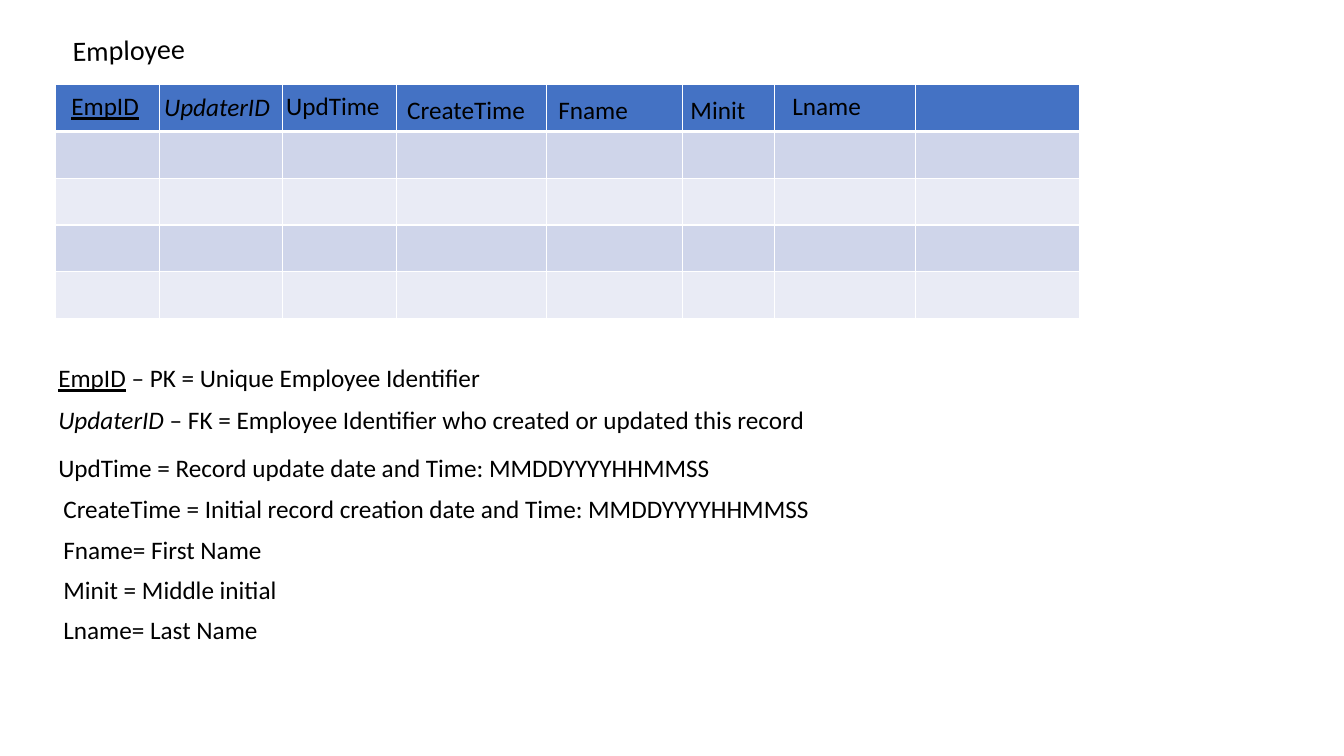
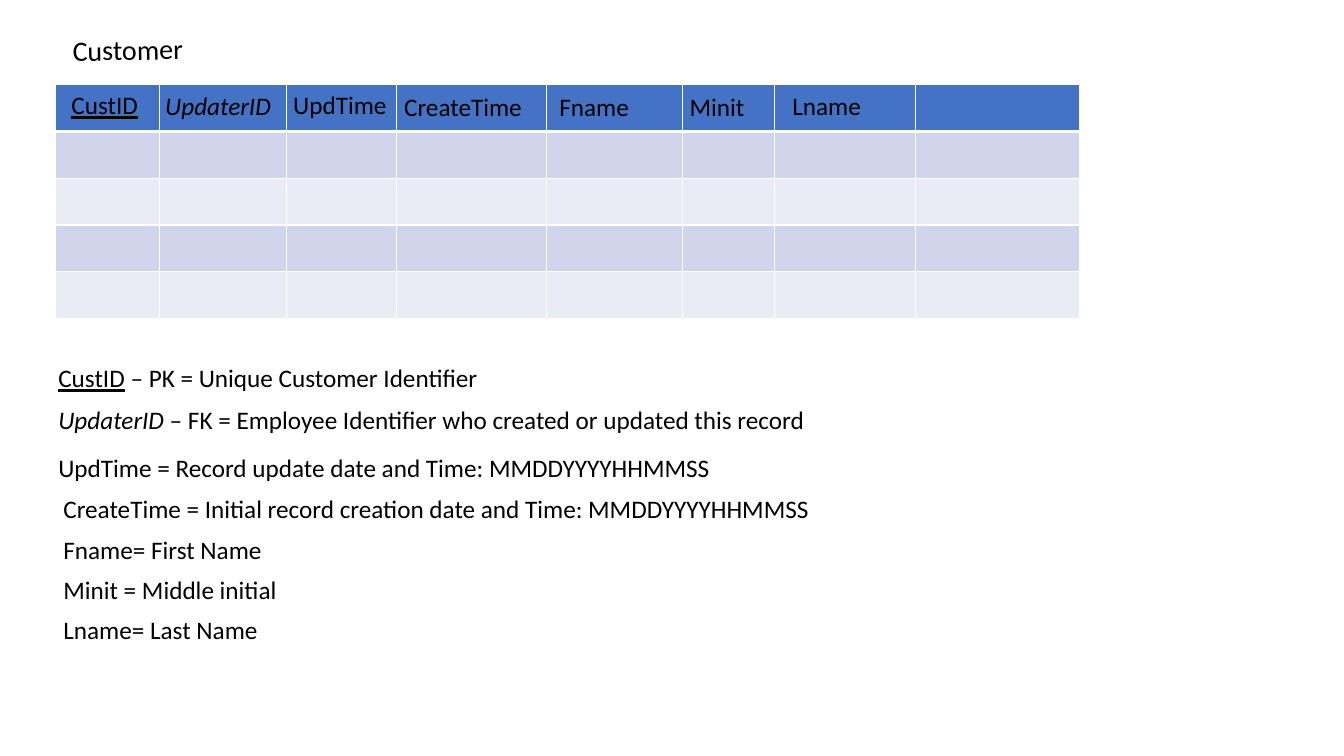
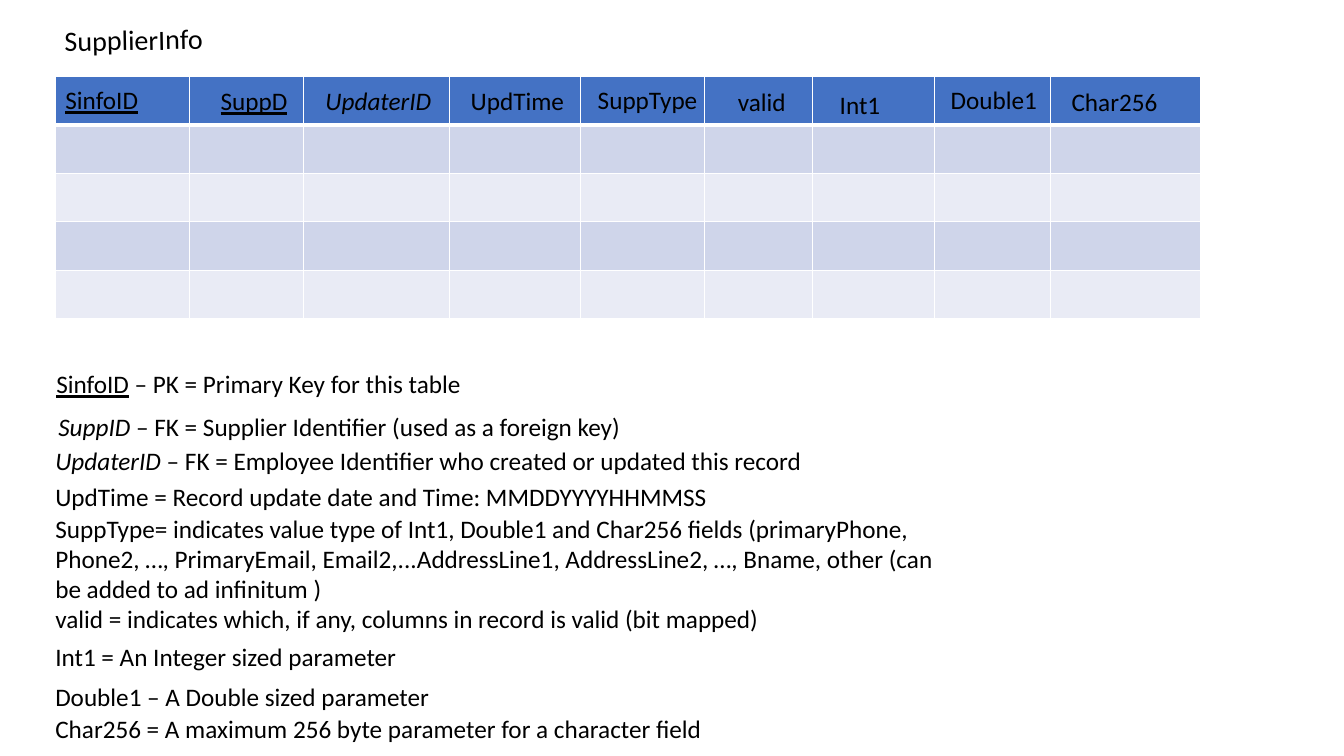
from collections import namedtuple
from itertools import accumulate

from lxml import etree
from pptx import Presentation, util as u
from pptx.dml.color import RGBColor
from pptx.enum import text
from pptx.oxml import ns

Box = namedtuple("Box", "left top width height")
Field = namedtuple("Field", "name column inset drop")
Definition = namedtuple("Definition", "name meaning indent drop width height", defaults=(0.4,))

COLORS = {"ink": "000000", "header": "4472C4", "odd": "CFD5EA", "even": "E9EBF5", "rule": "FFFFFF"}
FONT = "Calibri"
TITLE_SIZE, BODY_SIZE = 20, 18
TITLE_TILT = 359
ROWS = 5
LABEL_HEIGHT = 0.4

PRIMARY = {"underline": True}
FOREIGN = {"italic": True}
KEY_STYLES = {"EmpID": PRIMARY, "CustID": PRIMARY, "SinfoID": PRIMARY, "SuppD": PRIMARY,
              "SuppID": FOREIGN, "UpdaterID": FOREIGN}
LABEL_WIDTHS = {"EmpID": 0.97, "CustID": 0.97, "SuppD": 0.97, "SinfoID": 1.26,
                "UpdaterID": 1.26, "UpdTime": 1.2, "CreateTime": 1.38, "Fname": 1.06,
                "Minit": 0.89, "Lname": 0.94, "SuppType": 1.38, "valid": 0.94,
                "Int1": 0.88, "Double1": 1.2, "Char256": 1.26}

UPDATER = " – FK = Employee Identifier who created or updated this record"
UPDATED = " = Record update date and Time: MMDDYYYYHHMMSS"


def person_definitions(key, kind):
    return [
        Definition(key, f" – PK = Unique {kind} Identifier", 0, 0, 4.98),
        Definition("UpdaterID", UPDATER, 0, 0.41, 8.22),
        Definition("UpdTime", UPDATED, 0, 0.89, 9.05),
        Definition("CreateTime", " = Initial record creation date and Time: MMDDYYYYHHMMSS",
                   0.05, 1.29, 9.05),
        Definition("Fname", "= First Name", 0.05, 1.7, 9.05),
        Definition("Minit", " = Middle initial", 0.05, 2.1, 9.05),
        Definition("Lname", "= Last Name", 0.05, 2.5, 9.05),
    ]


PERSON_LAYOUT = {"title_box": Box(0.62, 0.27, 1.4, 0.44), "table_box": Box(0.55, 0.84, 10.17, 2.32),
                 "notes_at": (0.48, 3.55)}

PAGES = [
    {
        **PERSON_LAYOUT,
        "title": "Employee",
        "fields": [
            Field("EmpID", 1.03, 0.06, 0.01), Field("UpdaterID", 1.22, -0.05, 0.02),
            Field("UpdTime", 1.13, -0.06, 0.01), Field("CreateTime", 1.49, 0.01, 0.05),
            Field("Fname", 1.35, 0.02, 0.05), Field("Minit", 0.91, -0.02, 0.05),
            Field("Lname", 1.4, 0.08, 0.01), Field("", 1.63, 0, 0),
        ],
        "definitions": person_definitions("EmpID", "Employee"),
    },
    {
        **PERSON_LAYOUT,
        "title": "Customer",
        "fields": [
            Field("CustID", 1.03, 0.06, 0), Field("UpdaterID", 1.26, -0.04, 0.01),
            Field("UpdTime", 1.09, -0.03, 0), Field("CreateTime", 1.49, -0.02, 0.02),
            Field("Fname", 1.35, 0.03, 0.02), Field("Minit", 0.91, -0.03, 0.02),
            Field("Lname", 1.4, 0.08, 0.01), Field("", 1.63, 0, 0),
        ],
        "definitions": person_definitions("CustID", "Customer"),
    },
    {
        "title": "SupplierInfo",
        "title_box": Box(0.54, 0.17, 1.87, 0.44),
        "table_box": Box(0.55, 0.76, 11.36, 2.4),
        "notes_at": (0.45, 3.61),
        "fields": [
            Field("SinfoID", 1.33, 0, 0.03), Field("SuppD", 1.13, 0.21, 0.04),
            Field("UpdaterID", 1.45, 0.12, 0.04), Field("UpdTime", 1.3, 0.11, 0.04),
            Field("SuppType", 1.23, 0.07, 0.03), Field("valid", 1.07, 0.23, 0.05),
            Field("Int1", 1.21, 0.17, 0.08), Field("Double1", 1.15, 0.06, 0.03),
            Field("Char256", 1.49, 0.11, 0.05),
        ],
        "definitions": [
            Definition("SinfoID", " – PK = Primary Key for this table", 0.01, 0, 9.41),
            Definition("SuppID", " – FK = Supplier Identifier (used as a foreign key)",
                       0.03, 0.42, 8.05),
            Definition("UpdaterID", UPDATER, 0, 0.76, 8.22),
            Definition("UpdTime", UPDATED, 0, 1.12, 9.05),
            Definition("SuppType", "= indicates value type of Int1, Double1 and Char256 fields "
                       "(primaryPhone, Phone2, …, PrimaryEmail, Email2,...AddressLine1, "
                       "AddressLine2, …, Bname, other (can be added to ad infinitum )",
                       0, 1.43, 9.05, 1.01),
            Definition("valid", " = indicates which, if any, columns in record is valid (bit mapped)",
                       0, 2.33, 9.05),
            Definition("Int1", " = An Integer sized parameter", 0, 2.7, 9.41),
            Definition("Double1", " – A Double sized parameter", 0, 3.1, 8.63),
            Definition("Char256", " = A maximum 256 byte parameter for a character field",
                       0, 3.42, 8.11),
        ],
    },
]


def set_all(target, values):
    for name, value in values.items():
        setattr(target, name, value)


def inches(box):
    return [u.Inches(length) for length in box]


def write(shape, spans, size):
    """Fill a shape with one left-aligned paragraph of (words, style) spans."""
    frame = shape.text_frame
    set_all(frame, {"word_wrap": True, "auto_size": text.MSO_AUTO_SIZE.SHAPE_TO_FIT_TEXT,
                    "vertical_anchor": text.MSO_ANCHOR.TOP})
    para = frame.paragraphs[0]
    para.alignment = text.PP_ALIGN.LEFT
    for words, style in spans:
        span = para.add_run()
        span.text = words
        set_all(span.font, {"name": FONT, "size": u.Pt(size), **style})
        span.font.color.rgb = RGBColor.from_string(COLORS["ink"])


def add_text(page, box, spans):
    write(page.shapes.add_textbox(*inches(box)), spans, BODY_SIZE)


def add_title(page, box, words):
    title = page.shapes.title
    set_all(title, dict(zip(Box._fields, inches(box))))
    title.rotation = TITLE_TILT
    write(title, [(words, {})], TITLE_SIZE)


def style_cell(cell, color, bottom):
    """Rule all four sides in white, then fill."""
    props = cell._tc.get_or_add_tcPr()
    for side, width in {"lnL": 1, "lnR": 1, "lnT": 1, "lnB": bottom}.items():
        line = etree.SubElement(props, ns.qn(f"a:{side}"), w=str(u.Pt(width)))
        fill = etree.SubElement(line, ns.qn("a:solidFill"))
        etree.SubElement(fill, ns.qn("a:srgbClr"), val=COLORS["rule"])
    cell.fill.solid()
    cell.fill.fore_color.rgb = RGBColor.from_string(COLORS[color])


def add_record_table(page, box, fields):
    """Draw the grid, with each field's label set over its header cell."""
    table = page.shapes.add_table(ROWS, len(fields), *inches(box)).table
    for column, field in zip(table.columns, fields):
        column.width = u.Inches(field.column)
    for index, row in enumerate(table.rows):
        row.height = u.Inches(box.height / ROWS)
        color = "header" if index == 0 else "odd" if index % 2 else "even"
        for cell in row.cells:
            style_cell(cell, color, 1 if index else 3)
    lefts = accumulate((field.column for field in fields), initial=box.left)
    for left, field in zip(lefts, fields):
        if field.name:
            label_box = Box(left + field.inset, box.top + field.drop,
                            LABEL_WIDTHS[field.name], LABEL_HEIGHT)
            add_text(page, label_box, [(field.name, KEY_STYLES.get(field.name, {}))])


def add_definitions(page, corner, definitions):
    left, top = corner
    for item in definitions:
        box = Box(left + item.indent, top + item.drop, item.width, item.height)
        style = KEY_STYLES.get(item.name)
        spans = [(item.name, style), (item.meaning, {})] if style else [(item.name + item.meaning, {})]
        add_text(page, box, spans)


def main():
    deck = Presentation()
    set_all(deck, {"slide_width": u.Inches(13.33), "slide_height": u.Inches(7.5)})
    for content in PAGES:
        page = deck.slides.add_slide(deck.slide_layouts.get_by_name("Title Only"))
        add_title(page, content["title_box"], content["title"])
        add_record_table(page, content["table_box"], content["fields"])
        add_definitions(page, content["notes_at"], content["definitions"])
    deck.save("out.pptx")


if __name__ == "__main__":
    main()
